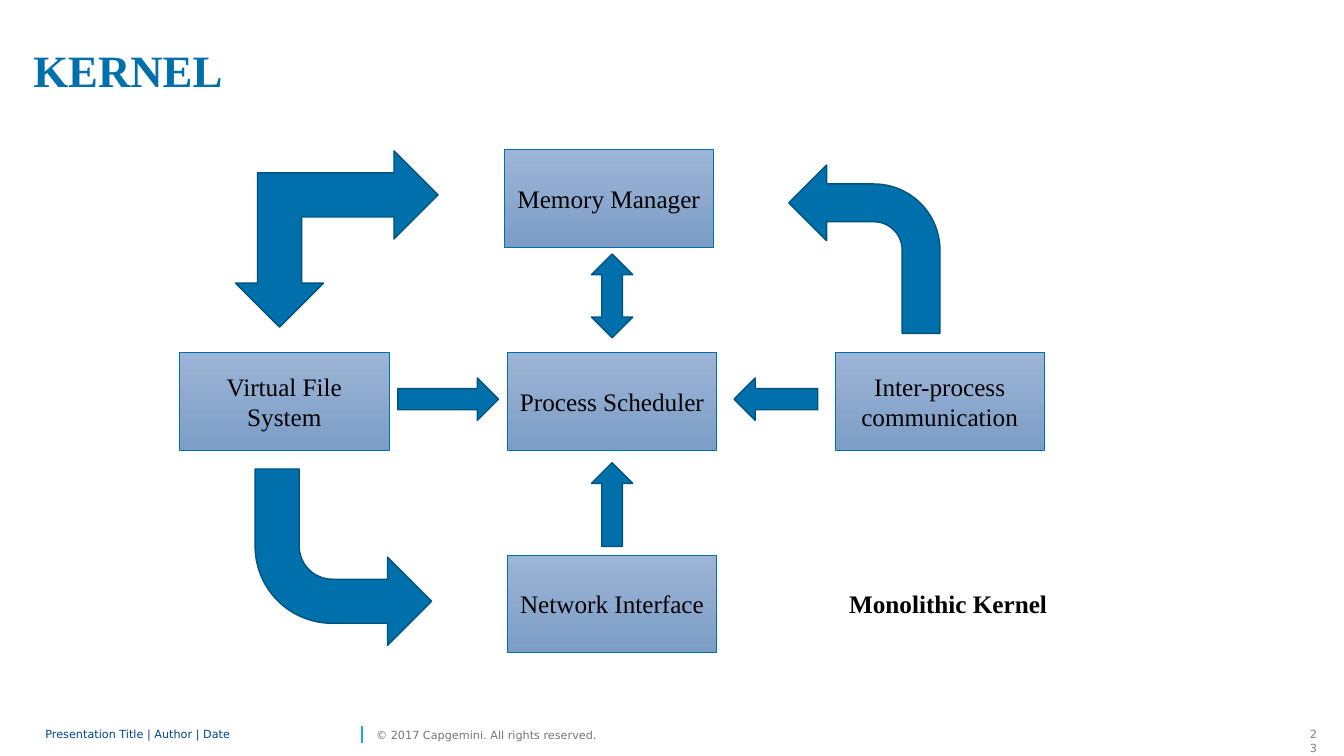
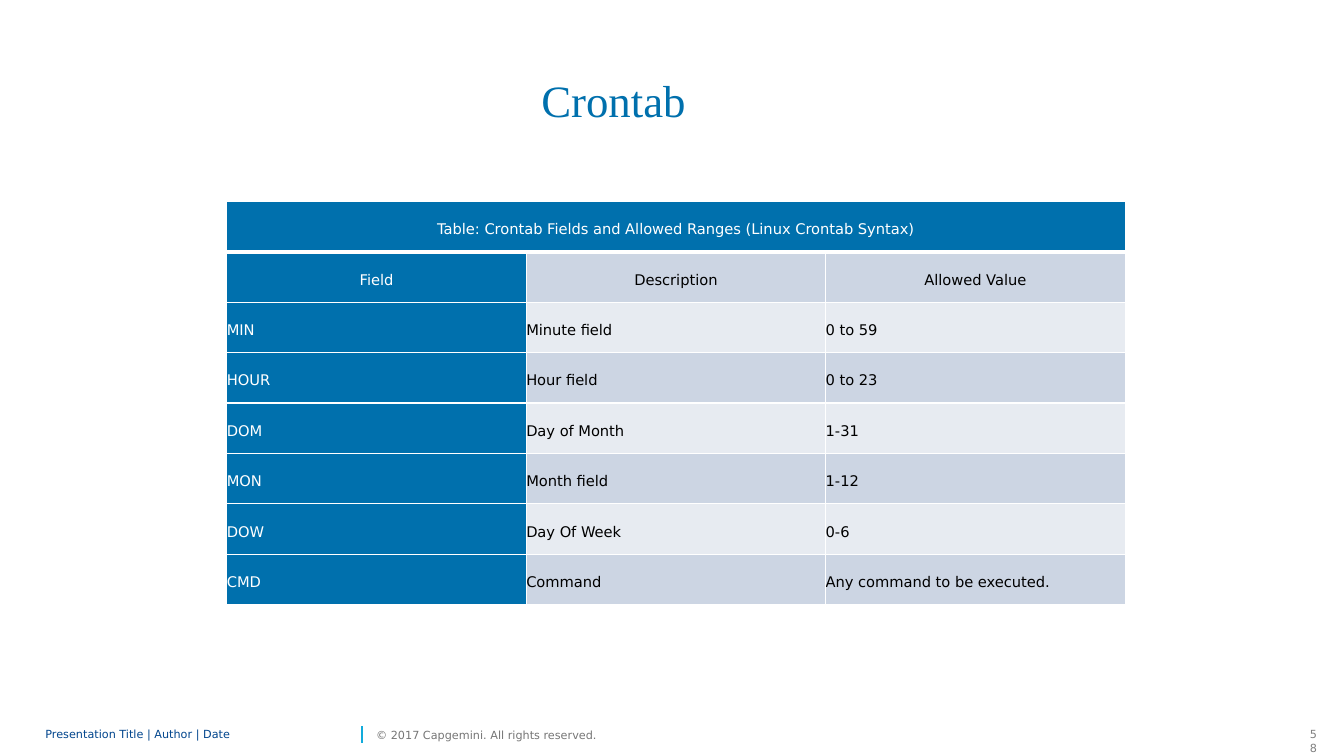
from dataclasses import dataclass

import lxml.etree
import pptx
import pptx.dml.color
import pptx.enum.shapes
import pptx.enum.text
import pptx.oxml.ns
import pptx.util

ALIGN = pptx.enum.text.PP_ALIGN
ANCHOR = pptx.enum.text.MSO_ANCHOR
SHAPE = pptx.enum.shapes.MSO_SHAPE


@dataclass(frozen=True)
class Theme:
    width: float = 13.33
    height: float = 7.5
    serif: str = "Times New Roman"
    sans: str = "DejaVu Sans"
    title_size: float = 32
    label_size: float = 18
    table_size: float = 10.5
    footer_size: float = 8
    blue: str = "0070AD"
    dark_blue: str = "005380"
    footer_blue: str = "00458D"
    cyan: str = "12ABDB"
    box_top: str = "9DB5D6"
    box_bottom: str = "7C9DC6"
    band_dark: str = "CCD5E3"
    band_light: str = "E7EBF1"
    number_gray: str = "808080"
    copyright_gray: str = "767676"
    black: str = "000000"
    white: str = "FFFFFF"


THEME = Theme()
BOX_SIZE = (15.6, 12.93)

COMPONENTS = [
    ("Process Scheduler", 1, 1),
    ("Virtual File System", 0, 1),
    ("Inter-process communication", 2, 1),
    ("Network Interface", 1, 2),
    ("Memory Manager", 0.99, 0),
]

ARROWS = [
    (SHAPE.UP_DOWN_ARROW, 1, 0.48, (3.08, 11.07), ""),
    (SHAPE.UP_ARROW, 1, 1.51, (3.08, 11.07), ""),
    (SHAPE.RIGHT_ARROW, 0.5, 0.99, (7.5, 5.6), ""),
    (SHAPE.LEFT_ARROW, 1.5, 0.99, (6.23, 5.6), ""),
    (SHAPE.BENT_ARROW, 1.77, 0.25, (11.25, 22.27), "H"),
    (SHAPE.BENT_ARROW, 0.18, 1.77, (13.13, 23.33), "V"),
    (SHAPE.LEFT_UP_ARROW, 0.16, 0.2, (15.08, 23.33), "HV"),
]

CRONTAB_ROWS = [
    ("Table: Crontab Fields and Allowed Ranges (Linux Crontab Syntax)", "", ""),
    ("Field", "Description", "Allowed Value"),
    ("MIN", "Minute field", "0 to 59"),
    ("HOUR", "Hour field", "0 to 23"),
    ("DOM", "Day of Month", "1-31"),
    ("MON", "Month field", "1-12"),
    ("DOW", "Day Of Week", "0-6"),
    ("CMD", "Command", "Any command to be executed."),
]


def color(value):
    return pptx.dml.color.RGBColor.from_string(value)


def area(left, top, width, height):
    across, down = THEME.width / 100, THEME.height / 100
    return [pptx.util.Inches(length) for length in
            (left * across, top * down, width * across, height * down)]


def grid_area(column, row, size):
    width, height = size
    center_x, center_y = 21.16 + 24.38 * column, 26.27 + 26.8 * row
    return area(center_x - width / 2, center_y - height / 2, width, height)


def write(frame, text, *, font=THEME.serif, size=THEME.label_size, ink=THEME.black,
          bold=False, align=ALIGN.LEFT, spacing=None):
    para = frame.paragraphs[0]
    para.alignment = align
    para.line_spacing = spacing
    span = para.add_run()
    span.text = text
    span.font.name = font
    span.font.size = pptx.util.Pt(size)
    span.font.bold = bold
    span.font.color.rgb = color(ink)


def set_frame(frame, anchor=ANCHOR.TOP, insets=(0.1, 0.05, 0.1, 0.05)):
    frame.word_wrap = True
    frame.auto_size = pptx.enum.text.MSO_AUTO_SIZE.NONE
    frame.vertical_anchor = anchor
    (frame.margin_left, frame.margin_top,
     frame.margin_right, frame.margin_bottom) = map(pptx.util.Inches, insets)


def add_text(page, place, text, *, anchor=ANCHOR.TOP, insets=(0.1, 0.05, 0.1, 0.05), **style):
    box = page.shapes.add_textbox(*place)
    set_frame(box.text_frame, anchor, insets)
    write(box.text_frame, text, **style)
    return box


def set_title(page, place, text, *, anchor=ANCHOR.TOP, insets=(0.1, 0.05, 0.1, 0.05), **style):
    title = page.shapes.title
    title.left, title.top, title.width, title.height = place
    set_frame(title.text_frame, anchor, insets)
    write(title.text_frame, text, size=THEME.title_size, ink=THEME.blue, **style)


def add_component(page, text, column, row):
    box = page.shapes.add_shape(SHAPE.RECTANGLE, *grid_area(column, row, BOX_SIZE))
    box.shadow.inherit = False
    box.fill.gradient()
    box.fill.gradient_angle = 270
    for stop, value in zip(box.fill.gradient_stops, (THEME.box_top, THEME.box_bottom)):
        stop.color.rgb = color(value)
    box.line.color.rgb = color(THEME.blue)
    box.line.width = pptx.util.Pt(0.5)
    set_frame(box.text_frame, ANCHOR.MIDDLE)
    write(box.text_frame, text, align=ALIGN.CENTER)


def add_arrow(page, kind, column, row, size, flips):
    arrow = page.shapes.add_shape(kind, *grid_area(column, row, size))
    arrow.shadow.inherit = False
    arrow.fill.solid()
    arrow.fill.fore_color.rgb = color(THEME.blue)
    arrow.line.color.rgb = color(THEME.dark_blue)
    arrow.line.width = pptx.util.Pt(1)
    for axis in flips:
        arrow._element.spPr.xfrm.set("flip" + axis, "1")


def add_divider(page):
    left, top, _, height = area(26.93, 96, 0, 2.27)
    divider = page.shapes.add_connector(
        pptx.enum.shapes.MSO_CONNECTOR.STRAIGHT, left, top + height, left, top)
    divider.line.color.rgb = color(THEME.cyan)
    divider.line.width = pptx.util.Pt(1)
    lxml.etree.SubElement(divider._element.spPr, pptx.oxml.ns.qn("a:effectLst"))
    return divider


def share_footer(page, layout):
    for placeholder in list(layout.placeholders):
        if placeholder.placeholder_format.idx >= 10:
            placeholder._element.getparent().remove(placeholder._element)
    flat = dict(anchor=ANCHOR.MIDDLE, insets=(0, 0, 0, 0),
                font=THEME.sans, size=THEME.footer_size)
    parts = [
        add_divider(page),
        add_text(page, area(3.38, 95.6, 23.18, 3.2), "Presentation Title | Author | Date",
                 ink=THEME.footer_blue, spacing=0.85, **flat),
        add_text(page, area(27.98, 95.6, 18.23, 3.2), "© 2017 Capgemini. All rights reserved.",
                 ink=THEME.copyright_gray, **flat),
    ]
    for part in parts:
        layout._element.cSld.spTree.append(part._element)


def add_page_number(page, number):
    add_text(page, area(96.7, 95.6, 2.03, 3.2), number, font=THEME.sans,
             size=THEME.footer_size, ink=THEME.number_gray, align=ALIGN.RIGHT)


def set_borders(cell, bottom=1):
    properties = cell._tc.get_or_add_tcPr()
    for side, points in (("L", 1), ("R", 1), ("T", 1), ("B", bottom)):
        line = lxml.etree.SubElement(properties, pptx.oxml.ns.qn("a:ln" + side),
                                     w=str(pptx.util.Pt(points)))
        fill = lxml.etree.SubElement(line, pptx.oxml.ns.qn("a:solidFill"))
        lxml.etree.SubElement(fill, pptx.oxml.ns.qn("a:srgbClr"), val=THEME.white)


def format_cell(cell, text, row, column):
    is_header = row == 0 or column == 0
    band = THEME.band_dark if row % 2 else THEME.band_light
    set_borders(cell, bottom=3 if row == 0 else 1)
    cell.fill.solid()
    cell.fill.fore_color.rgb = color(THEME.blue if is_header else band)
    cell.vertical_anchor = ANCHOR.MIDDLE
    cell.margin_left = cell.margin_top = cell.margin_right = cell.margin_bottom = 0
    if text:
        write(cell.text_frame, text, font=THEME.sans, size=THEME.table_size,
              ink=THEME.white if is_header else THEME.black,
              align=ALIGN.CENTER if row < 2 else ALIGN.LEFT,
              spacing=pptx.util.Pt(16.5))


def add_table(page, place, rows):
    table = page.shapes.add_table(len(rows), len(rows[0]), *place).table
    table.first_row = table.horz_banding = False
    table.cell(0, 0).merge(table.cell(0, len(rows[0]) - 1))
    for row, texts in enumerate(rows):
        for column, text in enumerate(texts):
            format_cell(table.cell(row, column), text, row, column)


def build_kernel(page):
    set_title(page, area(0, 0.13, 75.02, 14.67), "KERNEL", anchor=ANCHOR.MIDDLE,
              insets=(0.33, 0.04, 0.18, 0.04), bold=True, spacing=1.5)
    for component in COMPONENTS:
        add_component(page, *component)
    for arrow in ARROWS:
        add_arrow(page, *arrow)
    add_text(page, grid_area(2.03, 2, (16.43, 5.33)), "Monolithic Kernel", bold=True)


def build_crontab(page):
    set_title(page, area(25.66, 8.93, 39.98, 8.53), "Crontab", align=ALIGN.CENTER)
    add_table(page, area(16.88, 26.67, 66.84, 53.33), CRONTAB_ROWS)


def main():
    deck = pptx.Presentation()
    deck.slide_width = pptx.util.Inches(THEME.width)
    deck.slide_height = pptx.util.Inches(THEME.height)
    layout = deck.slide_layouts[5]
    for number, build in (("23", build_kernel), ("58", build_crontab)):
        page = deck.slides.add_slide(layout)
        if len(deck.slides) == 1:
            share_footer(page, layout)
        add_page_number(page, number)
        build(page)
    deck.save("out.pptx")


if __name__ == "__main__":
    main()
